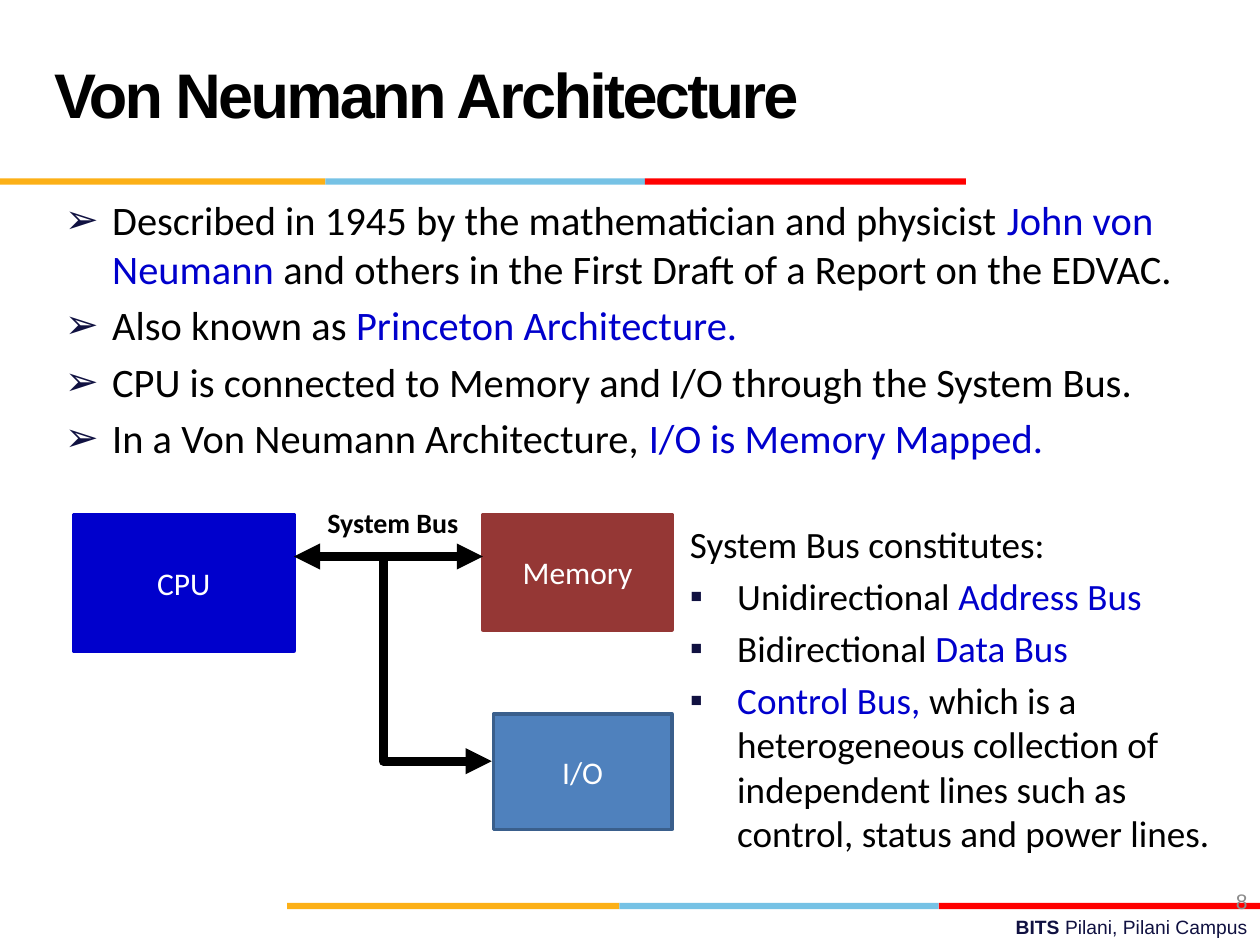
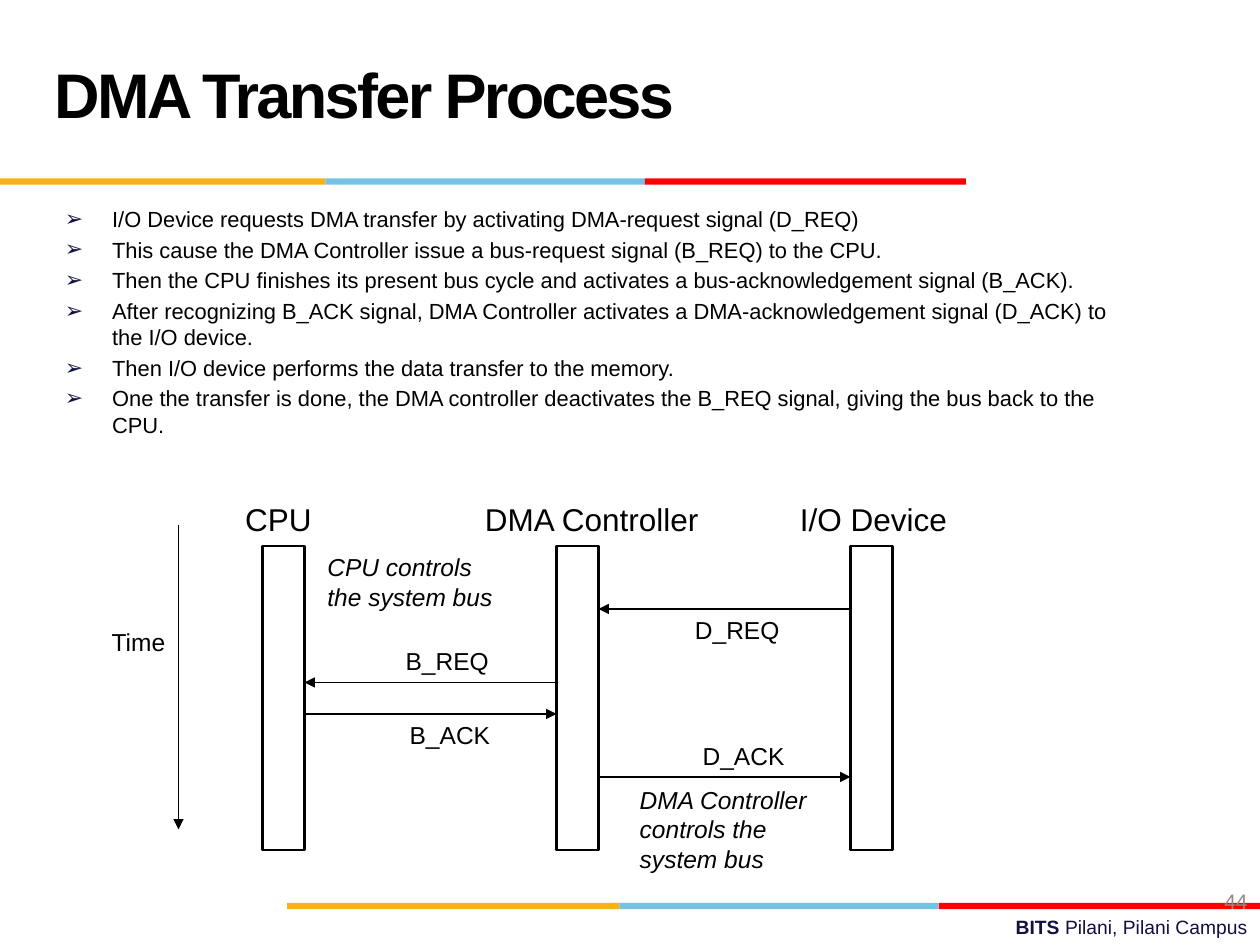
from lxml import etree
from pptx import Presentation
from pptx.dml.color import RGBColor
from pptx.enum.shapes import MSO_CONNECTOR, MSO_SHAPE
from pptx.enum.text import MSO_ANCHOR, MSO_AUTO_SIZE, PP_ALIGN
from pptx.oxml.ns import qn
from pptx.util import Pt

RECT = MSO_SHAPE.RECTANGLE
LINE = MSO_CONNECTOR.STRAIGHT
MID, TOP = MSO_ANCHOR.MIDDLE, MSO_ANCHOR.TOP
LEFT, RIGHT, CENTER = PP_ALIGN.LEFT, PP_ALIGN.RIGHT, PP_ALIGN.CENTER
FIXED = MSO_AUTO_SIZE.NONE

BLACK = RGBColor(0x00, 0x00, 0x00)
WHITE = RGBColor(0xFF, 0xFF, 0xFF)
BLUE = RGBColor(0x00, 0x00, 0xCC)
BROWN = RGBColor(0x95, 0x37, 0x35)
STEEL = RGBColor(0x4F, 0x81, 0xBD)
SLATE = RGBColor(0x3A, 0x5F, 0x8C)
NAVY = RGBColor(0x10, 0x11, 0x41)
GRAY = RGBColor(0x8C, 0x8C, 0x8C)
GOLD = RGBColor(0xFC, 0xB0, 0x17)
SKY = RGBColor(0x76, 0xC2, 0xE5)
RED = RGBColor(0xFF, 0x00, 0x00)

SANS, BODY = "Arial", "Calibri"
TITLE = {"name": SANS, "size": Pt(36), "bold": True}
FOOT = {"name": SANS, "size": Pt(11)}
PAGE = {"name": SANS, "size": Pt(12)}
NODE = {"name": BODY, "size": Pt(18)}
BUS = {"name": BODY, "size": Pt(16), "bold": True}
HEAD = {"name": SANS, "size": Pt(18)}
NOTE = {"name": SANS, "size": Pt(14)}
STATE = {**NOTE, "italic": True}
INDENT = Pt(27)


def apply(item, values):
    """Set each attribute of item from a dict."""
    for key, value in values.items():
        setattr(item, key, value)


def add_run(para, text, font, color=BLACK):
    """Append a formatted run to a paragraph."""
    run = para.add_run()
    run.text = text
    apply(run.font, font)
    run.font.color.rgb = color
    return run


def add_text(slide, box, lines, font, color=BLACK, align=LEFT,
             anchor=TOP, wrap=False):
    """Add a text box with one paragraph per line."""
    frame = slide.shapes.add_textbox(*map(Pt, box)).text_frame
    apply(frame, {"word_wrap": wrap, "vertical_anchor": anchor})
    for i, line in enumerate(lines):
        para = frame.add_paragraph() if i else frame.paragraphs[0]
        para.alignment = align
        if line:
            add_run(para, line, font, color)
    return frame


def add_bullet(para, mark):
    """Give a paragraph a hanging indent and an optional bullet."""
    props = para._p.get_or_add_pPr()
    props.set("marL", str(INDENT))
    props.set("indent", str(-INDENT))
    if mark:
        tint = etree.SubElement(props, qn("a:buClr"))
        etree.SubElement(tint, qn("a:srgbClr")).set("val", str(NAVY))
        etree.SubElement(props, qn("a:buFont")).set("typeface", SANS)
        etree.SubElement(props, qn("a:buChar")).set("char", mark)


def add_list(slide, box, items, font, mark, lead=None):
    """Add a bulleted list; text between bars is blue."""
    rows = ([(lead, None)] if lead else []) + [(item, mark) for item in items]
    frame = add_text(slide, box, [""] * len(rows), font, wrap=True)
    for i, (para, (text, sign)) in enumerate(zip(frame.paragraphs, rows)):
        add_bullet(para, sign)
        para.space_before = Pt(round(font["size"].pt * 0.2, 1) if i else 0)
        for j, part in enumerate(text.split("|")):
            if part:
                add_run(para, part, font, BLUE if j % 2 else BLACK)


def add_rect(slide, box, fill=None, edge=None, width=2):
    """Add a rectangle with optional fill and outline."""
    shape = slide.shapes.add_shape(RECT, *map(Pt, box))
    shape.shadow.inherit = False
    if fill is None:
        shape.fill.background()
    else:
        shape.fill.solid()
        shape.fill.fore_color.rgb = fill
    if edge is None:
        shape.line.fill.background()
    else:
        shape.line.color.rgb = edge
        shape.line.width = Pt(width)
    return shape


def add_node(slide, box, text, fill, edge):
    """Add a labelled block."""
    frame = add_rect(slide, box, fill, edge).text_frame
    frame.vertical_anchor = MID
    para = frame.paragraphs[0]
    para.alignment = CENTER
    add_run(para, text, NODE, WHITE)


def set_line(shape, width, ends):
    """Style a black line and put arrowheads on the named ends."""
    shape.line.color.rgb = BLACK
    shape.line.width = Pt(width)
    stroke = shape.line._get_or_add_ln()
    etree.SubElement(stroke, qn("a:round"))
    for end in ends:
        etree.SubElement(stroke, qn(f"a:{end}End")).set("type", "triangle")


def add_arrow(slide, start, stop, width=1, ends=("tail",)):
    """Add a straight arrow."""
    wire = slide.shapes.add_connector(LINE, *map(Pt, start + stop))
    set_line(wire, width, ends)
    etree.SubElement(wire._element.spPr, qn("a:effectLst"))


def add_elbow(slide, points, width):
    """Add an open bent arrow through the points."""
    spots = [(Pt(x), Pt(y)) for x, y in points]
    pen = slide.shapes.build_freeform(*spots[0])
    pen.add_line_segments(spots[1:], close=False)
    shape = pen.convert_to_shape()
    shape.shadow.inherit = False
    shape.fill.background()
    set_line(shape, width, ["tail"])


def add_band(slide, top, stops):
    """Add a three-colour band between the stops."""
    for left, right, tint in zip(stops, stops[1:], (GOLD, SKY, RED)):
        add_rect(slide, (left, top, right - left, 3.6), tint)


def new_slide(deck, title, page):
    """Add a slide with its title, bands, footer and page number."""
    slide = deck.slides.add_slide(deck.slide_layouts[5])
    add_band(slide, 102, (0, 186, 368.5, 552))
    add_band(slide, 516, (164, 354, 536.5, 720))
    foot = add_text(slide, (258, 519.4, 462, 21), [""], FOOT, align=RIGHT,
                    wrap=True).paragraphs[0]
    add_run(foot, "BITS ", {**FOOT, "bold": True}, NAVY)
    add_run(foot, "Pilani, Pilani Campus", FOOT, NAVY)
    add_text(slide, (552, 500.5, 168, 29), [page], PAGE, GRAY, RIGHT, MID, True)
    head = slide.shapes.title
    apply(head, dict(zip(("left", "top", "width", "height"),
                         map(Pt, (23.75, 12, 498, 90)))))
    apply(head.text_frame, {"vertical_anchor": MID, "word_wrap": True,
                            "auto_size": FIXED})
    para = head.text_frame.paragraphs[0]
    apply(para, {"alignment": LEFT, "line_spacing": Pt(36)})
    run = add_run(para, title, TITLE)
    run._r.get_or_add_rPr().set("spc", "-150")
    return slide


def add_neumann(deck):
    """Build the Von Neumann slide."""
    slide = new_slide(deck, "Von Neumann Architecture", "8")
    add_list(slide, (30, 108, 666, 174), [
        "Described in 1945 by the mathematician and physicist "
        "|John von Neumann| and others in the First Draft of a Report "
        "on the\u00a0EDVAC.",
        "Also known as |Princeton Architecture.",
        "CPU is connected to Memory and I/O through the System Bus.",
        "In a Von Neumann Architecture, |I/O is Memory Mapped.",
    ], {"name": BODY, "size": Pt(23.1)}, "➢")
    add_node(slide, (42, 294, 126, 78), "CPU", BLUE, BLUE)
    add_node(slide, (282, 408, 102, 66), "I/O", STEEL, SLATE)
    add_node(slide, (276, 294, 108, 66), "Memory", BROWN, BROWN)
    add_arrow(slide, (168, 318), (276, 318), 5, ("head", "tail"))
    add_elbow(slide, [(219, 318), (219, 435), (281, 435)], 5)
    add_text(slide, (180, 285.4, 96, 27), ["System Bus"], BUS, wrap=True)
    add_list(slide, (387.2, 294.5, 333, 204), [
        "Unidirectional |Address Bus",
        "Bidirectional| Data Bus",
        "|Control Bus, |which is a heterogeneous collection of independent "
        "lines such as control, status and power lines.",
    ], {"name": BODY, "size": Pt(21.2)}, "▪", "System Bus constitutes:")


def add_dma(deck):
    """Build the DMA transfer slide."""
    slide = new_slide(deck, "DMA Transfer Process", "44")
    add_list(slide, (30, 114, 630, 162), [
        "I/O Device requests DMA transfer by activating DMA-request signal "
        "(D_REQ)",
        "This cause the DMA Controller issue a bus-request signal (B_REQ) "
        "to the CPU.",
        "Then the CPU finishes its present bus cycle and activates a "
        "bus-acknowledgement signal (B_ACK).",
        "After recognizing B_ACK signal, DMA Controller activates a "
        "DMA-acknowledgement signal (D_ACK) to the I/O device.",
        "Then I/O device performs the data transfer to the memory.",
        "One the transfer is done, the DMA controller deactivates the B_REQ "
        "signal, giving the bus back to the CPU.",
    ], {"name": SANS, "size": Pt(12.5)}, "➢")
    bars = [150 + 168 * i for i in range(3)]
    wide = 24
    heads = [("CPU", 133, 53), ("DMA Controller", 270, 138),
             ("I/O Device", 450, 99)]
    for bar, (name, left, width) in zip(bars, heads):
        add_rect(slide, (bar, 312, wide, 174), edge=BLACK, width=1.25)
        add_text(slide, (left, 282, width, 29), [name], HEAD)
    signals = [("D_REQ", 2, 1, 348, 390, 348),
               ("B_REQ", 1, 0, 390, 224.7, 365.6),
               ("B_ACK", 0, 1, 408, 227, 408),
               ("D_ACK", 1, 2, 444, 394.4, 420)]
    for name, src, dst, y, left, top in signals:
        start = bars[src] + (wide if src < dst else 0)
        stop = bars[dst] + (wide if dst < src else 0)
        add_arrow(slide, (start, y), (stop, y))
        add_text(slide, (left, top, 68, 24), [name], NOTE)
    add_arrow(slide, (102, 300), (102, 474))
    add_text(slide, (56.7, 355, 48, 24), ["Time"], NOTE)
    add_text(slide, (180, 312, 114, 41), ["CPU controls", "the system bus"],
             STATE)
    add_text(slide, (358.5, 445, 114, 58),
             ["DMA Controller", "controls the", "system bus"], STATE)


def main():
    """Build and save the deck."""
    deck = Presentation()
    deck.slide_width, deck.slide_height = Pt(720), Pt(540)
    add_neumann(deck)
    add_dma(deck)
    deck.save("out.pptx")


if __name__ == "__main__":
    main()
